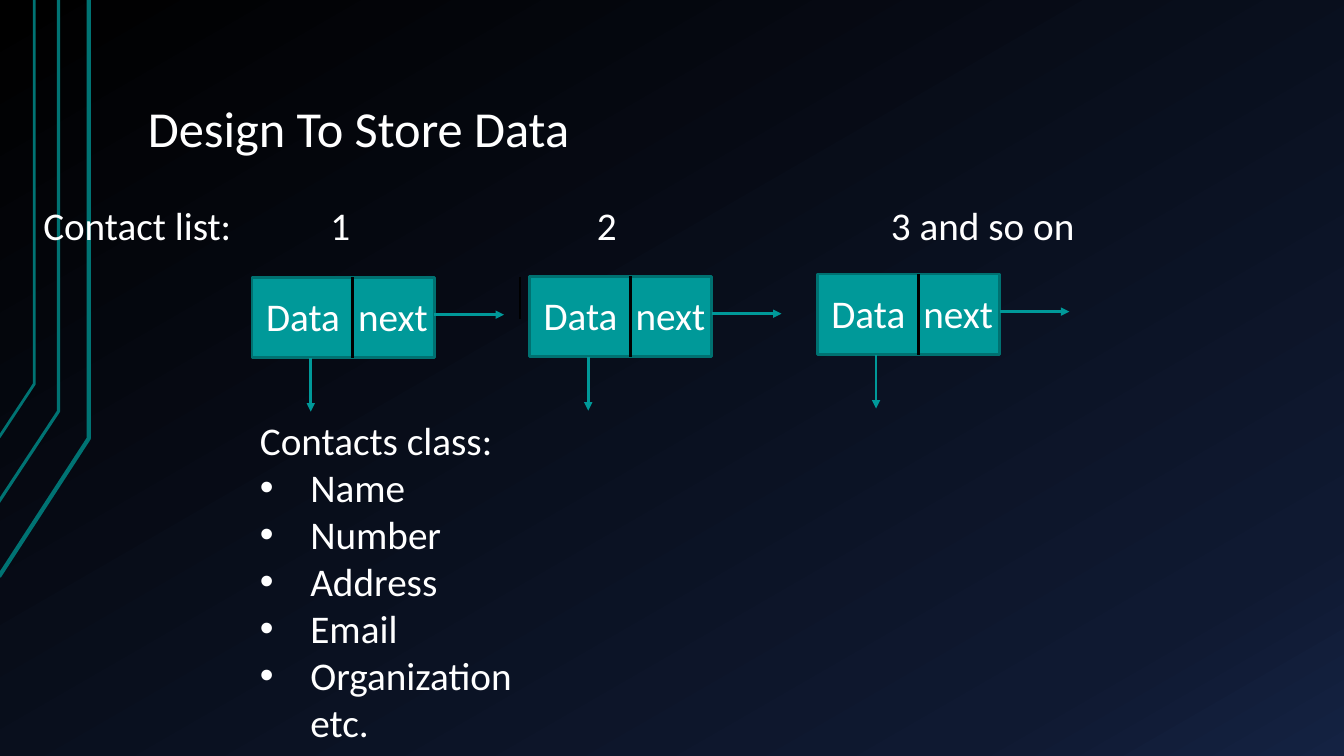
from copy import deepcopy

from pptx import Presentation
from pptx.dml.color import RGBColor
from pptx.enum.shapes import MSO_CONNECTOR, MSO_SHAPE
from pptx.enum.text import MSO_ANCHOR
from pptx.oxml.ns import qn
from pptx.util import Pt

RECT = MSO_SHAPE.RECTANGLE
STRAIGHT = MSO_CONNECTOR.STRAIGHT
BOTTOM = MSO_ANCHOR.BOTTOM
HEX = {"black": "000000", "night": "0F1931", "navy": "142242", "white": "FFFFFF",
       "teal": "009999", "edge": "007171", "rail": "007373"}
COLORS = {name: RGBColor.from_string(code) for name, code in HEX.items()}

deck = Presentation()
deck.slide_width, deck.slide_height = Pt(960), Pt(540)
slide = deck.slides.add_slide(deck.slide_layouts[6])
shapes = slide.shapes


def add_text(left, top, width, height, lines, size=28, tabs=()):
    """Add a wrapped text box with one run per line and optional tab stops."""
    box = shapes.add_textbox(Pt(left), Pt(top), Pt(width), Pt(height))
    frame = box.text_frame
    frame.word_wrap = True
    for i, line in enumerate(lines):
        para = frame.add_paragraph() if i else frame.paragraphs[0]
        run = para.add_run()
        run.text = line
        run.font.size = Pt(size)
        run.font.name = "Calibri"
        run.font.color.rgb = COLORS["white"]
        if tabs:
            stops = para._p.get_or_add_pPr().makeelement(qn("a:tabLst"), {})
            para._p.get_or_add_pPr().append(stops)
            for pos in tabs:
                stop = stops.makeelement(qn("a:tab"), {"pos": str(Pt(pos)), "algn": "l"})
                stops.append(stop)
    return frame


def add_line(x1, y1, x2, y2, color="teal", arrow=False):
    """Add a straight 2 pt line, with an arrowhead at its end if asked."""
    line = shapes.add_connector(STRAIGHT, Pt(x1), Pt(y1), Pt(x2), Pt(y2))
    line.line.color.rgb = COLORS[color]
    line.line.width = Pt(2)
    props = line._element.spPr
    if arrow:
        ln = props.find(qn("a:ln"))
        ln.append(ln.makeelement(qn("a:tailEnd"), {"type": "triangle"}))
    props.append(props.makeelement(qn("a:effectLst"), {}))


# Background gradient
back = slide.background.fill
back.gradient()
back.gradient_angle = 300
stops = slide.element.find(".//" + qn("a:gsLst"))
stops.append(deepcopy(stops[-1]))
shades = [(0, "black"), (0.85, "night"), (1, "navy")]
for stop, (pos, shade) in zip(back.gradient_stops, shades):
    stop.position = pos
    stop.color.rgb = COLORS[shade]

# Bent rails on the left edge: x, bend height, left end, end height, line width
RAILS = [(63.4, 313.2, -0.7, 411.8, 3),
         (41.8, 293.8, -1.4, 359.3, 2.25),
         (24.5, 274.3, -0.7, 312.5, 2)]
for x, bend, end, low, width in RAILS:
    path = shapes.build_freeform(Pt(end), Pt(low))
    path.add_line_segments([(Pt(x), Pt(bend)), (Pt(x), Pt(0))], close=False)
    rail = path.convert_to_shape()
    rail.shadow.inherit = False
    rail.fill.background()
    rail.line.color.rgb = COLORS["rail"]
    rail.line.width = Pt(width)

# Title
title = add_text(96, 21.6, 816, 96.5, ["Design To Store Data"], 36)
title.vertical_anchor = BOTTOM
title.margin_left = title.margin_right = Pt(9.6)
title.margin_top = title.margin_bottom = Pt(4.8)
title.paragraphs[0].line_spacing = 0.9

# Linked nodes
WIDE, HIGH = 130.3, 57.6
for left, top in [(180, 198), (378.2, 197.3), (583.8, 195.8)]:
    node = shapes.add_shape(RECT, Pt(left), Pt(top), Pt(WIDE), Pt(HIGH))
    node.shadow.inherit = False
    node.fill.solid()
    node.fill.fore_color.rgb = COLORS["teal"]
    node.line.color.rgb = COLORS["edge"]
    node.line.width = Pt(2)
    add_line(left + 72, top, left + 72, top + HIGH, "black")
    add_line(left + WIDE, top + 26.8, left + 180, top + 26.8, arrow=True)
    add_line(left + 42, top + HIGH, left + 42, top + 96, arrow=True)
    add_text(left + 3, top + 7.2, WIDE, 41, ["Data\tnext"], tabs=[65.7])
add_line(371.5, 198, 371.5, 228.2, "black")

# Numbers above the nodes
add_text(23.8, 140.4, 840, 41, ["Contact list:\t1\t2\t3 and so on"], tabs=[205, 395.5, 605.5])

# Fields of a contact
fields = ["Name", "Number", "Address", "Email", "Organization etc."]
contact = add_text(178.6, 293.8, 221.8, 244.8, ["Contacts class:"] + fields)
for para in contact.paragraphs[1:]:
    props = para._p.get_or_add_pPr()
    props.set("marL", str(Pt(36)))
    props.set("indent", str(-Pt(36)))
    props.append(props.makeelement(qn("a:buFont"), {"typeface": "Arial"}))
    props.append(props.makeelement(qn("a:buChar"), {"char": "•"}))

deck.save("out.pptx")
